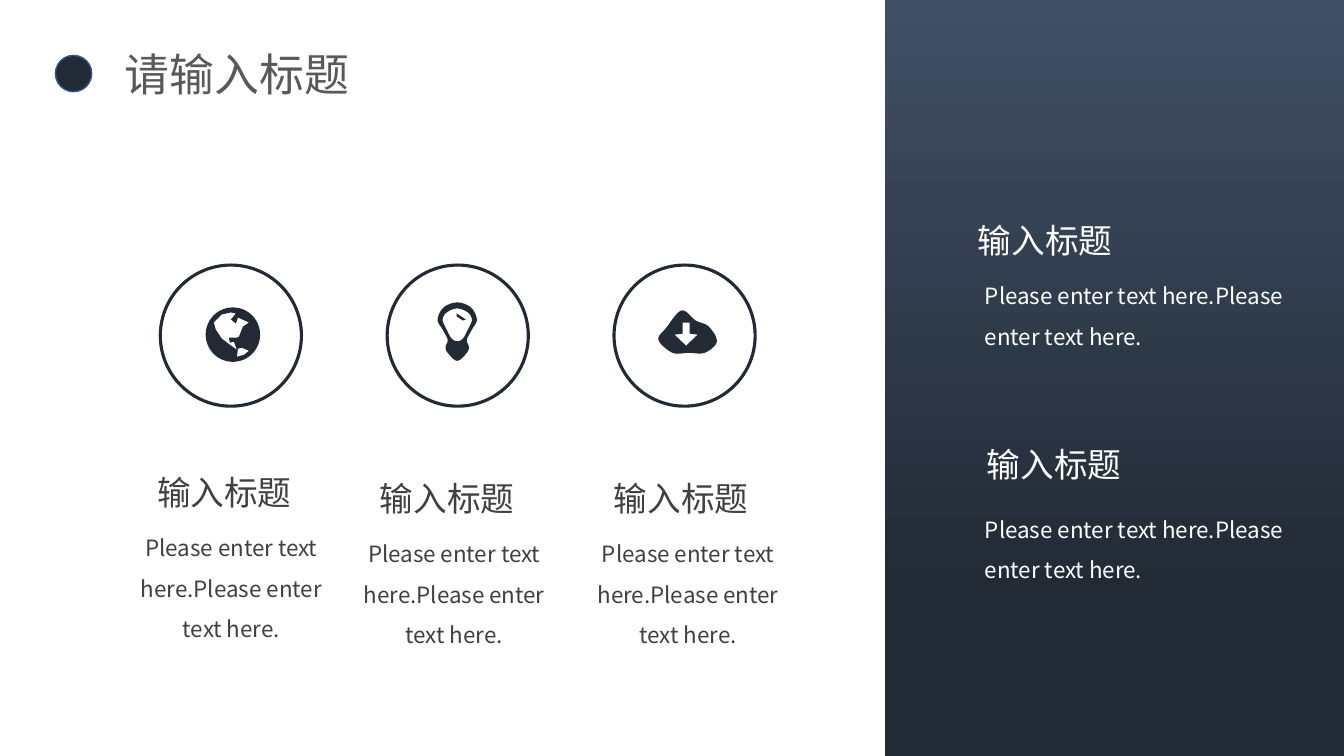
from dataclasses import dataclass
from math import cos, pi, sin

from lxml.etree import SubElement
from pptx import Presentation
from pptx.dml.color import RGBColor
from pptx.enum.shapes import MSO_SHAPE
from pptx.enum.text import MSO_AUTO_SIZE, PP_ALIGN
from pptx.oxml.ns import qn
from pptx.shapes.autoshape import Shape
from pptx.slide import Slide
from pptx.util import Inches, Pt

Point = tuple[float, float]
Outline = list[Point]


@dataclass(frozen=True)
class Theme:
    font: str = "Noto Sans CJK SC"
    navy: RGBColor = RGBColor(0x22, 0x2A, 0x35)
    slate: RGBColor = RGBColor(0x40, 0x4F, 0x64)
    dot_line: RGBColor = RGBColor(0x32, 0x54, 0x91)
    title: RGBColor = RGBColor(0x59, 0x59, 0x59)
    ink: RGBColor = RGBColor(0x40, 0x40, 0x40)
    white: RGBColor = RGBColor(0xFF, 0xFF, 0xFF)
    title_size: int = 32
    heading_size: int = 24
    body_size: int = 16


@dataclass(frozen=True)
class Box:
    left: float
    top: float
    width: float
    height: float


@dataclass(frozen=True)
class TextBlock:
    heading: Box
    body: Box
    color: RGBColor
    alignment: PP_ALIGN


@dataclass(frozen=True)
class Icon:
    left: float
    top: float
    outlines: list[Outline]


THEME = Theme()
HEADING = "输入标题"
BODY = "Please enter text here.Please enter text here."
CURVE_STEPS = 6
RING_LEFT, RING_PITCH = 1.59, 2.25


def circle_outline(radius: float, count: int = 48) -> Outline:
    angles = [2 * pi * index / count for index in range(count)]
    return [(radius + radius * cos(angle), radius + radius * sin(angle)) for angle in angles]


def mirrored(half: Outline, axis: float) -> Outline:
    return half + [(2 * axis - x, y) for x, y in reversed(half) if x != axis]


def smoothed(points: Outline) -> Outline:
    result = []
    for index in range(len(points)):
        corners = [points[(index + offset) % len(points)] for offset in (-1, 0, 1, 2)]
        for step in range(CURVE_STEPS):
            t = step / CURVE_STEPS
            weights = ((2 * t * t - t ** 3 - t) / 2, (3 * t ** 3 - 5 * t * t + 2) / 2,
                       (4 * t * t - 3 * t ** 3 + t) / 2, (t ** 3 - t * t) / 2)
            x, y = (sum(weight * corner[axis] for weight, corner in zip(weights, corners))
                    for axis in (0, 1))
            result.append((x, y))
    return result


NORTH_LAND = [(8, 15), (16, 7), (25, 5), (30, 6), (25, 12), (30, 16), (32, 10), (43, 15),
              (37, 19), (33, 29), (31, 30), (23, 30), (24, 35), (28, 34), (31, 42),
              (24, 37), (16, 31), (10, 22)]
SOUTH_LAND = [(31, 49), (32, 41), (36, 40), (43, 43), (38, 47)]
BULB_HALF = [(19.5, 0), (33, 5), (39, 17), (34, 27), (29, 37), (31, 44), (29, 50), (19.5, 58)]
BULB_HOLE_HALF = [(19.5, 6), (30, 10), (34, 17), (31, 25), (24, 37)]
GLINT = [(19, 11), (28, 17), (25, 18), (19, 14)]
CLOUD = [(14, 42), (0, 29), (8, 17), (23, 0), (37, 10), (50, 16), (58, 31), (46, 42), (30, 42)]
ARROW_HALF = [(27.5, 35), (39, 24), (31, 23), (31, 12)]

ICONS = (
    Icon(2.04, 3.05, [circle_outline(27), NORTH_LAND, SOUTH_LAND]),
    Icon(4.34, 3.0, [smoothed(mirrored(BULB_HALF, 19.5)),
                     smoothed(mirrored(BULB_HOLE_HALF, 19.5)), GLINT]),
    Icon(6.53, 3.08, [smoothed(CLOUD), mirrored(ARROW_HALF, 27.5)]),
)


def add_icon(slide: Slide, icon: Icon) -> None:
    outlines = [[(Inches(icon.left + x / 100), Inches(icon.top + y / 100)) for x, y in outline]
                for outline in icon.outlines]
    builder = slide.shapes.build_freeform(*outlines[0][0])
    builder.add_line_segments(outlines[0][1:])
    for outline in outlines[1:]:
        builder.move_to(*outline[0])
        builder.add_line_segments(outline[1:])
    shape = builder.convert_to_shape()
    shape.shadow.inherit = False
    shape.fill.solid()
    shape.fill.fore_color.rgb = THEME.navy
    shape.line.fill.background()


def add_preset(slide: Slide, kind: MSO_SHAPE, box: Box) -> Shape:
    shape = slide.shapes.add_shape(
        kind, Inches(box.left), Inches(box.top), Inches(box.width), Inches(box.height))
    shape.shadow.inherit = False
    return shape


def add_text(slide: Slide, box: Box, text: str, size: int, color: RGBColor,
             alignment: PP_ALIGN = PP_ALIGN.LEFT, spacing: float = 1.0,
             wrap: bool = True) -> None:
    shape = slide.shapes.add_textbox(
        Inches(box.left), Inches(box.top), Inches(box.width), Inches(box.height))
    shape.text_frame.word_wrap = wrap
    shape.text_frame.auto_size = MSO_AUTO_SIZE.SHAPE_TO_FIT_TEXT
    paragraph = shape.text_frame.paragraphs[0]
    paragraph.alignment = alignment
    paragraph.line_spacing = spacing
    run = paragraph.add_run()
    run.text = text
    run.font.name = THEME.font
    run.font.size = Pt(size)
    run.font.color.rgb = color
    SubElement(run.font._element, qn("a:ea"), typeface=THEME.font)


def add_text_block(slide: Slide, block: TextBlock) -> None:
    add_text(slide, block.body, BODY, THEME.body_size, block.color, block.alignment, 1.5)
    add_text(slide, block.heading, HEADING, THEME.heading_size, block.color, block.alignment)


def add_panel(slide: Slide) -> None:
    panel = add_preset(slide, MSO_SHAPE.RECTANGLE, Box(8.78, 0, 4.55, 7.5))
    panel.line.fill.background()
    panel.fill.gradient()
    panel.fill.gradient_angle = 270
    stops = ((0, THEME.slate), (0.79, THEME.navy))
    for stop, (position, color) in zip(panel.fill.gradient_stops, stops):
        stop.position = position
        stop.color.rgb = color


def add_circle(slide: Slide, box: Box, line_color: RGBColor, width: float, filled: bool) -> None:
    circle = add_preset(slide, MSO_SHAPE.OVAL, box)
    if filled:
        circle.fill.solid()
        circle.fill.fore_color.rgb = THEME.navy
    else:
        circle.fill.background()
    circle.line.color.rgb = line_color
    circle.line.width = Pt(width)


def main() -> None:
    presentation = Presentation()
    presentation.slide_width, presentation.slide_height = Inches(13.33), Inches(7.5)
    slide = presentation.slides.add_slide(presentation.slide_layouts[6])
    add_panel(slide)
    for left, top, body_top in ((9.6, 2.13, 2.62), (9.69, 4.35, 4.94)):
        add_text_block(slide, TextBlock(
            Box(left, top, 2.24, 0.5), Box(9.67, body_top, 3.21, 0.87),
            THEME.white, PP_ALIGN.LEFT))
    for column, icon in enumerate(ICONS):
        ring = Box(RING_LEFT + column * RING_PITCH, 2.63, 1.4, 1.4)
        add_circle(slide, ring, THEME.navy, 2.25, filled=False)
        add_icon(slide, icon)
    for left, top in ((1.26, 4.63), (3.47, 4.69), (5.79, 4.69)):
        add_text_block(slide, TextBlock(
            Box(left, top, 1.93, 0.5), Box(left - 0.05, top + 0.49, 2.17, 1.27),
            THEME.ink, PP_ALIGN.CENTER))
    add_text(slide, Box(1.14, 0.41, 2.45, 0.64), "请输入标题",
             THEME.title_size, THEME.title, wrap=False)
    add_circle(slide, Box(0.55, 0.55, 0.36, 0.36), THEME.dot_line, 1, filled=True)
    presentation.save("out.pptx")


if __name__ == "__main__":
    main()
